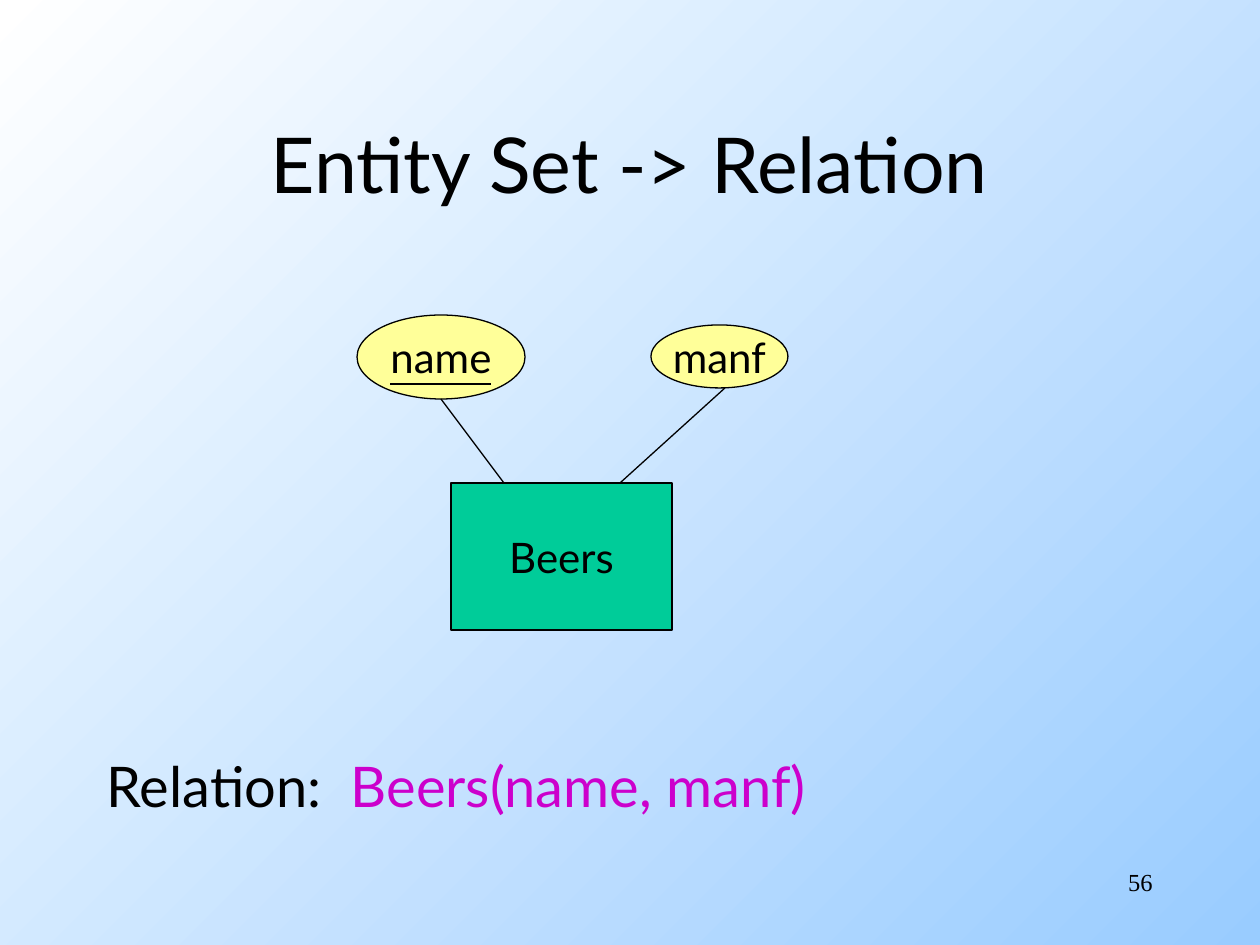
from pptx import Presentation
from pptx.dml.color import RGBColor
from pptx.enum.shapes import MSO_CONNECTOR as Link, MSO_SHAPE as Kind
from pptx.enum.text import MSO_ANCHOR as Anchor, MSO_AUTO_SIZE as Fit, PP_ALIGN as Align
from pptx.util import Pt
from lxml import etree

PX = 914400 // 126
BLACK = RGBColor(0, 0, 0)
WHITE = RGBColor(255, 255, 255)
SKY = RGBColor(0x99, 0xCC, 0xFF)
GREEN = RGBColor(0, 0xCC, 0x99)
YELLOW = RGBColor(255, 255, 0x99)
PURPLE = RGBColor(0xCC, 0, 0xCC)
A = "{http://schemas.openxmlformats.org/drawingml/2006/main}"


def place(shape, *box):
    """Move and size a shape, in pixels."""
    shape.left, shape.top, shape.width, shape.height = [v * PX for v in box]


def style(run, size, color=BLACK, face="Lato"):
    """Set the font of a run."""
    run.font.size = Pt(size)
    run.font.name = face
    run.font.color.rgb = color


prs = Presentation()
prs.slide_width, prs.slide_height = 1260 * PX, 945 * PX
slide = prs.slides.add_slide(prs.slide_layouts[1])
shapes = slide.shapes

# Background
fill = slide.background.fill
fill.gradient()
fill.gradient_angle = 315
for stop, color, pos in zip(fill.gradient_stops, (WHITE, SKY), (0, 1)):
    stop.color.rgb = color
    stop.position = pos

# Title and relation
title, body = slide.placeholders
place(title, 94, 84, 1071, 158)
title.text_frame.text = "Entity Set -> Relation"
style(title.text_frame.paragraphs[0].runs[0], 44)

place(body, 94, 735, 1071, 100)
para = body.text_frame.paragraphs[0]
for text, color in (("Relation:  ", BLACK), ("Beers(name, manf)", PURPLE)):
    run = para.add_run()
    run.text = text
    style(run, 32, color)
para.space_before = Pt(0)
props = para._p.get_or_add_pPr()
props.set("marL", "0")
props.set("indent", "0")
etree.SubElement(props, A + "buNone")
for holder in (title, body):
    holder.text_frame.auto_size = Fit.NONE
    holder.text_frame.vertical_anchor = Anchor.MIDDLE

# Entity set and its attributes; the key is underlined
nodes = [
    ("Beers", Kind.RECTANGLE, GREEN, False, (451, 483, 221, 147)),
    ("name", Kind.OVAL, YELLOW, True, (357, 315, 168, 84)),
    ("manf", Kind.OVAL, YELLOW, False, (651, 325, 137, 63)),
]
for text, kind, color, key, box in nodes:
    node = shapes.add_shape(kind, *[v * PX for v in box])
    node.shadow.inherit = False
    node.fill.solid()
    node.fill.fore_color.rgb = color
    node.line.color.rgb = BLACK
    node.line.width = Pt(0.75)
    frame = node.text_frame
    frame.text = text
    frame.word_wrap = False
    frame.vertical_anchor = Anchor.MIDDLE
    frame.paragraphs[0].alignment = Align.CENTER
    run = frame.paragraphs[0].runs[0]
    style(run, 24)
    if key:
        run.font.underline = True

for ends in ((441, 399, 504, 483), (725, 388, 620, 483)):
    link = shapes.add_connector(Link.STRAIGHT, *[v * PX for v in ends])
    link.line.color.rgb = BLACK
    link.line.width = Pt(0.75)
    etree.SubElement(link._element.spPr, A + "effectLst")

# Slide number
number = shapes.add_textbox(*[v * PX for v in (903, 861, 262, 63)])
number.text_frame.word_wrap = True
number.text_frame.text = "56"
para = number.text_frame.paragraphs[0]
para.alignment = Align.RIGHT
style(para.runs[0], 14, BLACK, "Times New Roman")

prs.save("out.pptx")
